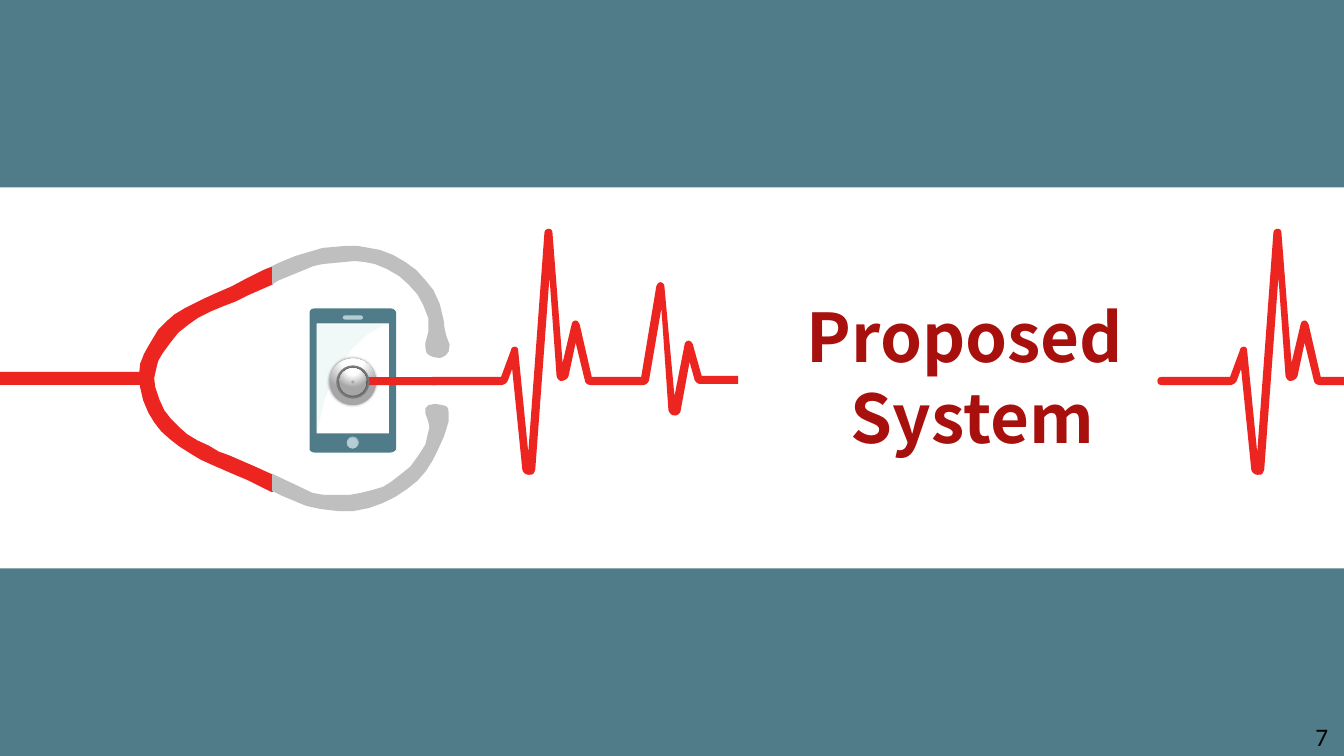
from dataclasses import dataclass

from lxml import etree
from pptx import Presentation
from pptx.dml.color import RGBColor
from pptx.enum.shapes import MSO_SHAPE
from pptx.enum.text import MSO_ANCHOR, MSO_AUTO_SIZE, PP_ALIGN
from pptx.oxml.ns import qn
from pptx.util import Inches, Pt

RECT, OVAL, ROUNDED = MSO_SHAPE.RECTANGLE, MSO_SHAPE.OVAL, MSO_SHAPE.ROUNDED_RECTANGLE
CENTER, TOP, MIDDLE = PP_ALIGN.CENTER, MSO_ANCHOR.TOP, MSO_ANCHOR.MIDDLE
NO_FIT = MSO_AUTO_SIZE.NONE


@dataclass(frozen=True)
class Theme:
    teal: str = "507C89"
    pale_teal: str = "B5CDD4"
    mid_teal: str = "90B4BE"
    gloss: str = "BCE7DC"
    red: str = "ED2521"
    dark_red: str = "A7100D"
    silver: str = "BFBFBF"
    steel: str = "A6A6A6"
    rim: str = "808080"
    white: str = "FFFFFF"
    black: str = "000000"
    title_font: str = "Noto Sans CJK SC"
    number_font: str = "Calibri"
    title_size: int = 48
    number_size: int = 18


THEME = Theme()

# Outlines: a pair is a corner, a sextuple is a Bezier curve (two controls, end).
# Heartbeat edges, upper one right to left, lower one left to right
BEAT_UPPER = [
    (1.87, 1.74), (1.75, 1.22), (1.74, 1.2, 1.73, 1.18, 1.71, 1.18),
    (1.69, 1.18, 1.67, 1.2, 1.67, 1.22), (1.58, 1.6), (1.48, 0.31),
    (1.48, 0.28, 1.46, 0.27, 1.44, 0.27), (1.42, 0.27, 1.4, 0.29, 1.4, 0.31),
    (1.24, 2.49), (1.14, 1.48), (1.14, 1.46, 1.13, 1.44, 1.11, 1.44),
    (1.09, 1.44, 1.07, 1.45, 1.07, 1.47), (0.97, 1.74), (0.29, 1.74),
    (0.27, 1.74, 0.25, 1.75, 0.25, 1.78)]
BEAT_LOWER = [
    (0.25, 1.8, 0.26, 1.82, 0.29, 1.82), (0.97, 1.82),
    (1, 1.82, 1.03, 1.8, 1.04, 1.77), (1.08, 1.66), (1.18, 2.65),
    (1.18, 2.68, 1.21, 2.71, 1.24, 2.71), (1.25, 2.71),
    (1.26, 2.71, 1.28, 2.71, 1.29, 2.7), (1.3, 2.68, 1.31, 2.67, 1.31, 2.65),
    (1.45, 0.75), (1.52, 1.72), (1.52, 1.75, 1.54, 1.77, 1.56, 1.78),
    (1.6, 1.78, 1.63, 1.76, 1.64, 1.73), (1.71, 1.4), (1.8, 1.77),
    (1.8, 1.8, 1.83, 1.82, 1.86, 1.82)]
ECHO_UPPER = [
    (3.32, 1.73), (2.96, 1.73), (2.87, 1.41),
    (2.86, 1.4, 2.85, 1.38, 2.83, 1.38), (2.81, 1.38, 2.79, 1.4, 2.79, 1.42),
    (2.69, 1.93), (2.59, 0.84), (2.59, 0.82, 2.57, 0.8, 2.55, 0.8),
    (2.53, 0.8, 2.52, 0.82, 2.51, 0.84), (2.36, 1.74)]
ECHO_LOWER = [
    (2.38, 1.82), (2.41, 1.82, 2.44, 1.79, 2.44, 1.76), (2.56, 1.06),
    (2.63, 2.07), (2.64, 2.1, 2.66, 2.12, 2.68, 2.12),
    (2.71, 2.13, 2.74, 2.11, 2.75, 2.08), (2.84, 1.59), (2.89, 1.77),
    (2.9, 1.79, 2.92, 1.81, 2.95, 1.81), (3.32, 1.81)]

# Stethoscope: forked red tube, then the two grey ear pieces
FORK = [
    (2.71, .64), (2.71, .82), (2.46, .93), (2.34, .99), (2.21, 1.04), (2.09, 1.09),
    (1.97, 1.15), (1.87, 1.22), (1.77, 1.3), (1.69, 1.4), (1.61, 1.51), (1.57, 1.58),
    (1.55, 1.66), (1.53, 1.75), (1.54, 1.84), (1.58, 1.96), (1.63, 2.07), (1.7, 2.16),
    (1.78, 2.24), (1.86, 2.31), (1.96, 2.37), (2.07, 2.42), (2.17, 2.48), (2.28, 2.52),
    (2.51, 2.62), (2.71, 2.71), (2.71, 2.88), (2.69, 2.88), (2.45, 2.76), (2.33, 2.71),
    (2.1, 2.61), (1.99, 2.56), (1.89, 2.5), (1.78, 2.43), (1.69, 2.36), (1.6, 2.28),
    (1.53, 2.19), (1.47, 2.09), (1.42, 1.97), (1.39, 1.84), (1.38, 1.72), (1.39, 1.61),
    (1.43, 1.51), (1.48, 1.42), (1.57, 1.27), (1.65, 1.19), (1.73, 1.12), (1.83, 1.06),
    (1.93, 1.01), (2.03, .96), (2.14, .91), (2.3, .84), (2.45, .76), (2.61, .68)]
LOWER_EAR = [
    (4.45, 2.1), (4.45, 2.18), (4.43, 2.25), (4.4, 2.34), (4.34, 2.47), (4.29, 2.57),
    (4.22, 2.68), (4.14, 2.77), (4.04, 2.85), (3.92, 2.93), (3.8, 2.99), (3.66, 3.04),
    (3.51, 3.07), (3.35, 3.07), (3.18, 3.05), (3.04, 3.02), (2.92, 2.97), (2.8, 2.92),
    (2.7, 2.87), (2.7, 2.7), (3.1, 2.89), (3.21, 2.91), (3.47, 2.91), (3.58, 2.89),
    (3.7, 2.86), (3.8, 2.83), (3.88, 2.78), (3.97, 2.71), (4.07, 2.63), (4.15, 2.52),
    (4.22, 2.41), (4.25, 2.28), (4.26, 2.24), (4.25, 2.19), (4.22, 2.1), (4.22, 2.05),
    (4.25, 2.02), (4.3, 2.01), (4.34, 2.01), (4.39, 2.02),
    (4.43, 2.03, 4.45, 2.03, 4.45, 2.1)]
UPPER_EAR = [
    (4.46, 1.42), (4.45, 1.49), (4.43, 1.51, 4.43, 1.53, 4.37, 1.55),
    (4.34, 1.55, 4.27, 1.55, 4.23, 1.5), (4.22, 1.45), (4.22, 1.4), (4.25, 1.29),
    (4.25, 1.16), (4.2, 1.03), (4.14, .92), (4.05, .82), (3.96, .74), (3.84, .67),
    (3.72, .62), (3.62, .6), (3.52, .59), (3.41, .6), (3.2, .62), (3.11, .64),
    (2.94, .71), (2.77, .78), (2.7, .82), (2.7, .64), (2.76, .61), (2.93, .54),
    (3.1, .49), (3.2, .46), (3.31, .45), (3.43, .44), (3.55, .44), (3.66, .46),
    (3.77, .48), (3.9, .53), (4.02, .6), (4.13, .68), (4.22, .78), (4.3, .88),
    (4.36, 1.01), (4.38, 1.09), (4.4, 1.17), (4.41, 1.26), (4.43, 1.34)]

# Phone: casing, screen opening and reflection
CASING = [
    (0.8, 0), (0.05, 0), (0.02, 0, 0, 0.02, 0, 0.05), (0, 1.39),
    (0, 1.41, 0.02, 1.43, 0.05, 1.43), (0.8, 1.43),
    (0.83, 1.43, 0.86, 1.41, 0.86, 1.39), (0.86, 0.05),
    (0.86, 0.02, 0.83, 0, 0.8, 0)]
SCREEN = [(0.79, 1.24), (0.07, 1.24), (0.07, 0.15), (0.79, 0.15)]
REFLECTION = [(0.07, 0.16), (0.07, 1.24), (0.17, 0.59, 0.49, 0.25, 0.75, 0.16)]


def flatten(outline, steps=5):
    points = []
    for node in outline:
        if len(node) == 2:
            points.append(node)
            continue
        x0, y0 = points[-1]
        x1, y1, x2, y2, x3, y3 = node
        for t in (i / steps for i in range(1, steps + 1)):
            a, b, c, d = (1 - t) ** 3, 3 * t * (1 - t) ** 2, 3 * t * t * (1 - t), t ** 3
            points.append((a * x0 + b * x1 + c * x2 + d * x3,
                           a * y0 + b * y1 + c * y2 + d * y3))
    return points


def paint(shape, color):
    shape.shadow.inherit = False
    shape.fill.solid()
    shape.fill.fore_color.rgb = RGBColor.from_string(color)
    shape.line.fill.background()
    return shape


def add_outline(slide, left, top, color, *outlines):
    contours = [[(Inches(left + x), Inches(top + y)) for x, y in flatten(outline)]
                for outline in outlines]
    builder = slide.shapes.build_freeform(*contours[0][0])
    builder.add_line_segments(contours[0][1:])
    for contour in contours[1:]:
        builder.move_to(*contour[0])
        builder.add_line_segments(contour[1:])
    return paint(builder.convert_to_shape(), color)


def add_preset(slide, kind, left, top, width, height, color):
    box = [Inches(v) for v in (left, top, width, height)]
    return paint(slide.shapes.add_shape(kind, *box), color)


def add_xml(parent, tag, **attributes):
    return etree.SubElement(parent, qn(tag), {k: str(v) for k, v in attributes.items()})


def make_metallic(shape):
    properties = shape.fill._xPr
    gradient = etree.Element(qn("a:gradFill"), rotWithShape="1")
    stops = add_xml(gradient, "a:gsLst")
    for position, color in ((0, THEME.white), (35, THEME.white), (100, THEME.steel)):
        add_xml(add_xml(stops, "a:gs", pos=position * 1000), "a:srgbClr", val=color)
    circle = add_xml(gradient, "a:path", path="circle")
    add_xml(circle, "a:fillToRect", l=50000, t=-80000, r=50000, b=180000)
    properties.replace(properties.find(qn("a:solidFill")), gradient)
    glow = add_xml(properties.find(qn("a:effectLst")), "a:outerShdw",
                   blurRad=Pt(2), dist=0, dir=0, algn="ctr", rotWithShape=0)
    add_xml(add_xml(glow, "a:srgbClr", val=THEME.black), "a:alpha", val=40000)


def add_bands(slide, width, height, band=1.86):
    for top in (0, height - band):
        add_preset(slide, RECT, 0, top, width, band, THEME.teal)


def add_phone(slide, left, top):
    add_outline(slide, left, top, THEME.teal, CASING, SCREEN)
    speaker = add_preset(slide, ROUNDED, left + 0.33, top + 0.07, 0.2, 0.04, THEME.pale_teal)
    speaker.adjustments[0] = 0.5
    add_preset(slide, OVAL, left + 0.37, top + 1.27, 0.12, 0.12, THEME.mid_teal)
    reflection = add_outline(slide, left, top, THEME.gloss, REFLECTION)
    add_xml(reflection.fill._xPr.find(qn("a:solidFill"))[0], "a:alpha", val=22000)
    add_preset(slide, OVAL, left + 0.37, top + 1.28, 0.11, 0.11, THEME.pale_teal)


def add_lead(slide, left, top, width, cap):
    add_outline(slide, left, top, THEME.red, [
        (cap, 0), (width, 0), (width, 0.08), (cap, 0.08),
        (cap / 2, 0.08, 0, 0.06, 0, 0.04), (0, 0.02, cap / 2, 0, cap, 0)])


def add_stethoscope(slide, left, top):
    add_outline(slide, left, top, THEME.red, FORK)
    add_outline(slide, left, top, THEME.silver, LOWER_EAR, UPPER_EAR)
    add_preset(slide, RECT, left - 0.01, top + 1.69, 1.44, 0.13, THEME.red)


def add_pulse(slide, left, top, upper_tail, lower_tail):
    add_outline(slide, left, top, THEME.red,
                upper_tail + BEAT_UPPER + BEAT_LOWER + lower_tail)


def add_chest_piece(slide, left, top, size=0.46):
    def disc(diameter, color):
        inset = (size - diameter) / 2
        return add_preset(slide, OVAL, left + inset, top + inset, diameter, diameter, color)

    make_metallic(disc(size, THEME.white))
    add_lead(slide, left + 0.38, top + 0.18, 0.1, 0.01)
    disc(0.33, THEME.rim)
    make_metallic(disc(0.27, THEME.white))
    disc(0.03, THEME.steel)


def write_text(box, place, lines, font, size, color, bold, anchor, wrap):
    box.left, box.top, box.width, box.height = (Inches(v) for v in place)
    frame = box.text_frame
    frame.auto_size, frame.word_wrap, frame.vertical_anchor = NO_FIT, wrap, anchor
    for i, line in enumerate(lines):
        paragraph = frame.add_paragraph() if i else frame.paragraphs[0]
        paragraph.alignment = CENTER
        run = paragraph.add_run()
        run.text = line
        run.font.name, run.font.size, run.font.bold = font, Pt(size), bold
        run.font.color.rgb = RGBColor.from_string(color)


def build_section_slide(deck):
    slide = deck.slides.add_slide(deck.slide_layouts[5])
    add_bands(slide, 13.33, 7.5)
    # Illustration, back to front
    add_phone(slide, 3.07, 3.06)
    add_lead(slide, 3.72, 3.74, 0.6, 0.04)
    add_stethoscope(slide, 0, 2)
    add_pulse(slide, 4, 2, ECHO_UPPER, ECHO_LOWER)
    add_pulse(slide, 11.23, 2, [(2.12, 1.74)], [(2.12, 1.82)])
    add_chest_piece(slide, 3.27, 3.56)
    # Section title and slide number
    write_text(slide.shapes.title, (7.83, 2.88, 3.63, 1.72), ["Proposed ", "System"],
               THEME.title_font, THEME.title_size, THEME.dark_red, True, TOP, False)
    write_text(slide.shapes.add_textbox(0, 0, 0, 0), (12.92, 7.15, 0.38, 0.32), ["7"],
               THEME.number_font, THEME.number_size, THEME.black, False, MIDDLE, True)


def main():
    deck = Presentation()
    deck.slide_width, deck.slide_height = Inches(13.33), Inches(7.5)
    build_section_slide(deck)
    deck.save("out.pptx")


if __name__ == "__main__":
    main()
